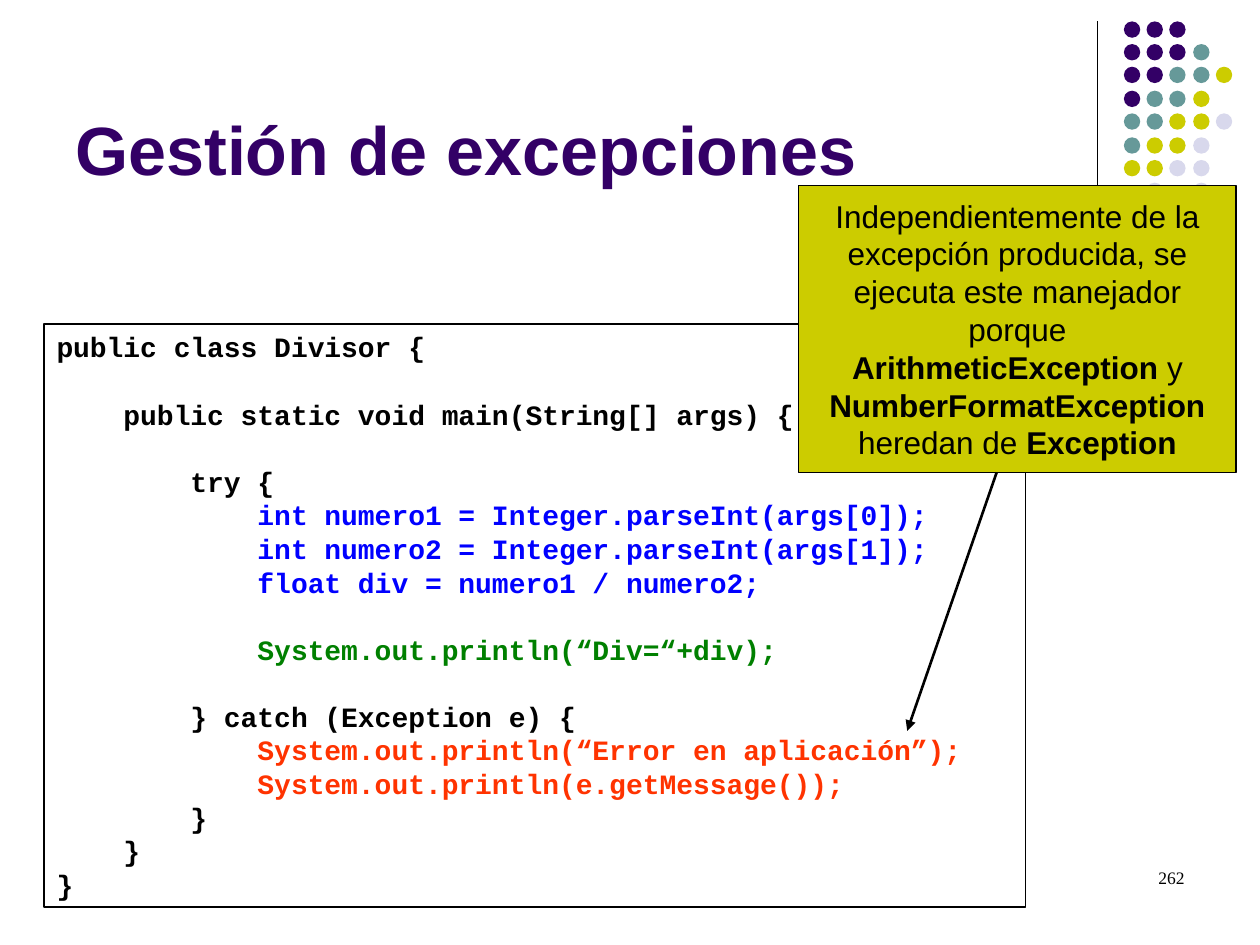
from dataclasses import dataclass
from typing import Any

from pptx import Presentation
from pptx import util as u
from pptx.dml.color import RGBColor
from pptx.enum import shapes, text
from pptx.oxml.ns import qn
from lxml import etree

EMU_PER_PX = 9144
BLACK = RGBColor(0x00, 0x00, 0x00)
PURPLE = RGBColor(0x33, 0x00, 0x66)
TEAL = RGBColor(0x66, 0x99, 0x99)
OLIVE = RGBColor(0xCC, 0xCC, 0x00)
LAVENDER = RGBColor(0xD8, 0xD8, 0xEC)
BLUE = RGBColor(0x00, 0x00, 0xFF)
GREEN = RGBColor(0x00, 0x80, 0x00)
RED = RGBColor(0xFF, 0x33, 0x00)

DOT_COLORS = {"P": PURPLE, "T": TEAL, "O": OLIVE, "L": LAVENDER}
DOT_ROWS = ["PPP", "PPPT", "PPTTO", "PTTO", "TTOOL", "TOOL", "OOLL", " L L"]

CODE = [
    ("""public class Divisor {

    public static void main(String[] args) {

        try {""", BLACK),
    ("""            int numero1 = Integer.parseInt(args[0]);
            int numero2 = Integer.parseInt(args[1]);
            float div = numero1 / numero2;""", BLUE),
    ("""
            System.out.println(“Div=“+div);""", GREEN),
    ("""
        } catch (Exception e) {""", BLACK),
    ("""            System.out.println(“Error en aplicación”);
            System.out.println(e.getMessage());""", RED),
    ("""        }
    }
}""", BLACK),
]
CALLOUT = ("Independientemente de la excepción producida, se ejecuta este manejador porque "
           "**ArithmeticException** y **NumberFormatException** heredan de **Exception**")


def px(*lengths):
    return [u.Emu(length * EMU_PER_PX) for length in lengths]


@dataclass
class SlideBuilder:
    """Draws styled elements on the current slide."""

    slide: Any
    sans: str = "Arial"
    mono: str = "Courier New"
    serif: str = "Times New Roman"
    leading: float = 1.2

    def style(self, font, name, size, color, bold=False):
        font.name, font.size, font.bold = name, u.Pt(size), bold
        font.color.rgb = color

    def shape(self, kind, box, fill=None, line_width=None):
        shape = self.slide.shapes.add_shape(kind, *px(*box))
        shape.shadow.inherit = False
        if fill is None:
            shape.fill.background()
        else:
            shape.fill.solid()
            shape.fill.fore_color.rgb = fill
        if line_width is None:
            shape.line.fill.background()
        else:
            shape.line.color.rgb = BLACK
            shape.line.width = u.Pt(line_width)
        return shape

    def label(self, box, wording, name, size, color, bold=False,
              align=text.PP_ALIGN.LEFT, anchor=text.MSO_ANCHOR.TOP):
        frame = self.slide.shapes.add_textbox(*px(*box)).text_frame
        frame.word_wrap = True
        frame.vertical_anchor = anchor
        frame.text = wording
        paragraph = frame.paragraphs[0]
        paragraph.alignment = align
        self.style(paragraph.runs[0].font, name, size, color, bold)

    def line(self, start, end, width, arrow=False):
        connector = self.slide.shapes.add_connector(
            shapes.MSO_CONNECTOR.STRAIGHT, *px(*start, *end))
        connector.line.color.rgb = BLACK
        connector.line.width = u.Pt(width)
        if arrow:
            outline = connector.line._get_or_add_ln()
            etree.SubElement(outline, qn("a:tailEnd"), type="triangle")
        etree.SubElement(connector._element.spPr, qn("a:effectLst"))

    def dots(self, left, top, diameter):
        for row, colors in enumerate(DOT_ROWS):
            for column, key in enumerate(colors):
                if key in DOT_COLORS:
                    box = (left + column * 92 // 5, top + row * 92 // 5, diameter, diameter)
                    self.shape(shapes.MSO_SHAPE.OVAL, box, DOT_COLORS[key])

    def code(self, box, blocks, size):
        frame = self.shape(shapes.MSO_SHAPE.RECTANGLE, box, line_width=1).text_frame
        frame.word_wrap = True
        frame.vertical_anchor = text.MSO_ANCHOR.TOP
        lines = [(line, color) for block, color in blocks for line in block.split("\n")]
        frame.text = "\n".join(line for line, _ in lines if line)
        paragraphs = iter(frame.paragraphs)
        pitch = u.Pt(size * self.leading)
        gap = u.Pt(0)
        for line, color in lines:
            if not line:
                gap = pitch
                continue
            paragraph = next(paragraphs)
            paragraph.alignment = text.PP_ALIGN.LEFT
            paragraph.line_spacing = pitch
            paragraph.space_before = gap
            self.style(paragraph.runs[0].font, self.mono, size, color, True)
            gap = u.Pt(0)

    def callout(self, box, wording, size):
        shape = self.shape(shapes.MSO_SHAPE.RECTANGLE, box, OLIVE, 0.75)
        frame = shape.text_frame
        frame.word_wrap = True
        frame.vertical_anchor = text.MSO_ANCHOR.MIDDLE
        paragraph = frame.paragraphs[0]
        paragraph.alignment = text.PP_ALIGN.CENTER
        paragraph.line_spacing = u.Pt(size * self.leading)
        for index, part in enumerate(wording.split("**")):
            if part:
                run = paragraph.add_run()
                run.text = part
                self.style(run.font, self.sans, size, BLACK, index % 2 == 1)


def main():
    presentation = Presentation()
    presentation.slide_width, presentation.slide_height = px(1000, 750)
    builder = SlideBuilder(presentation.slides.add_slide(presentation.slide_layouts[6]))
    builder.line((871, 17), (871, 183), 0.75)
    builder.dots(892, 17, 13)
    builder.label((50, 13, 825, 142), "Gestión de excepciones", builder.sans, 39, PURPLE,
                  bold=True, anchor=text.MSO_ANCHOR.BOTTOM)
    builder.code((35, 257, 779, 463), CODE, 16)
    builder.line((791, 375), (720, 580), 1.5, arrow=True)
    builder.callout((634, 147, 347, 228), CALLOUT, 18)
    builder.label((717, 683, 233, 50), "262", builder.serif, 10, BLACK,
                  align=text.PP_ALIGN.RIGHT)
    presentation.save("out.pptx")


if __name__ == "__main__":
    main()
